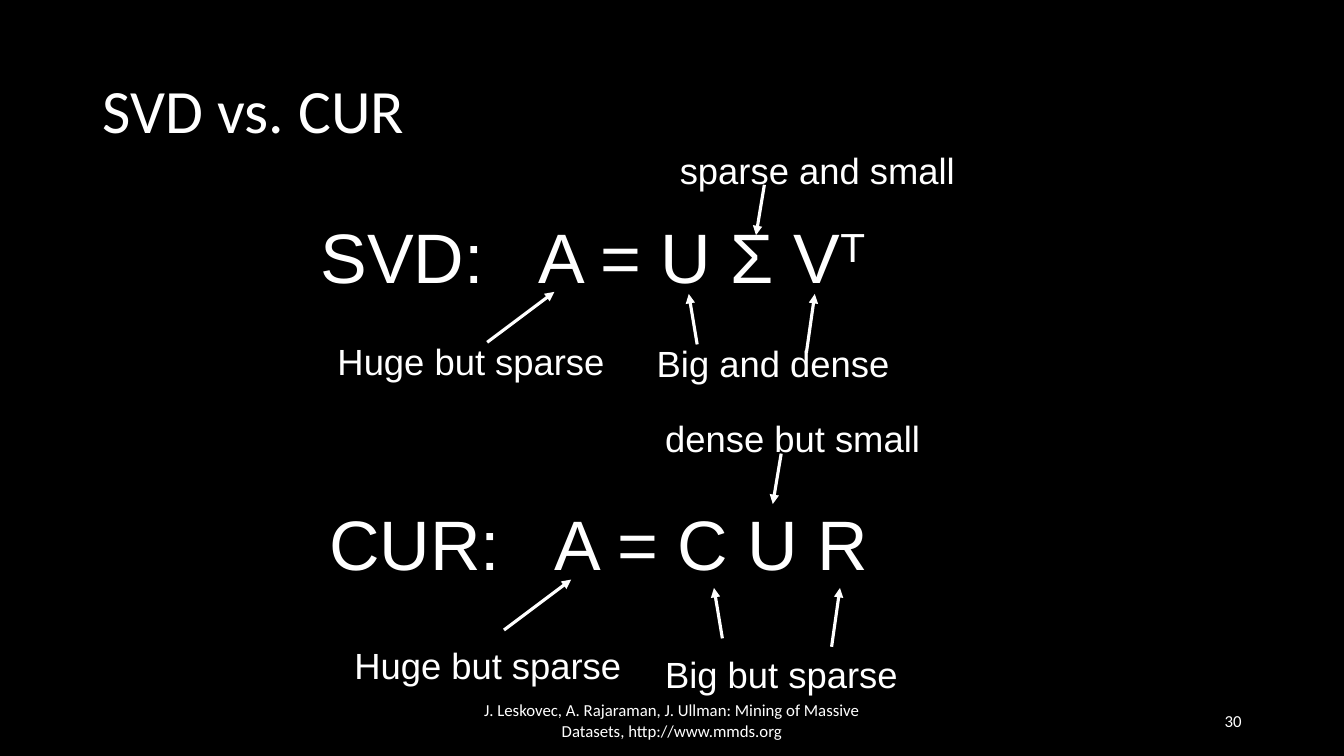
from lxml.etree import SubElement
from pptx import Presentation
from pptx.dml.color import RGBColor
from pptx.enum.shapes import MSO_CONNECTOR
from pptx.enum.text import MSO_ANCHOR, MSO_AUTO_SIZE, PP_ALIGN
from pptx.oxml.ns import qn
from pptx.util import Pt

PX = 9525  # EMU per px, 96 px to the inch
BLACK, WHITE = "000000", "FFFFFF"


def px(*lengths):
    return [length * PX for length in lengths]


def color(hex_text):
    return RGBColor.from_string(hex_text)


def add_span(para, text, size, font="Arial"):
    span = para.add_run()
    span.text = text
    span.font.size = Pt(size)
    span.font.name = font
    span.font.color.rgb = color(WHITE)
    return span


def add_title(page, text):
    title = page.shapes.title
    title.left, title.top, title.width, title.height = px(88, 39, 1104, 139)
    title.text_frame.vertical_anchor = MSO_ANCHOR.MIDDLE
    para = title.text_frame.paragraphs[0]
    para.alignment = PP_ALIGN.LEFT
    para.line_spacing = 0.9
    add_span(para, text, 44, "Calibri")


def add_box(page, left, top, width, height, wrap=True):
    box = page.shapes.add_textbox(*px(left, top, width, height))
    box.text_frame.word_wrap = wrap
    return box.text_frame


def add_footer(page, left, width, text, alignment):
    frame = add_box(page, left, 667, width, 38)
    frame.vertical_anchor = MSO_ANCHOR.MIDDLE
    frame.paragraphs[0].alignment = alignment
    add_span(frame.paragraphs[0], text, 12, "Calibri")


def add_label(page, left, top, width, text):
    frame = add_box(page, left, top, width, 51, wrap=False)
    frame.auto_size = MSO_AUTO_SIZE.SHAPE_TO_FIT_TEXT
    add_span(frame.paragraphs[0], text, 26)


def add_formula(page, left, top, name, factors, tab, power=""):
    frame = add_box(page, left, top, 632, 89)
    frame.auto_size = MSO_AUTO_SIZE.SHAPE_TO_FIT_TEXT
    para = frame.paragraphs[0]
    # A tab stop sets the gap between name and equation
    stops = SubElement(para._p.get_or_add_pPr(), qn("a:tabLst"))
    SubElement(stops, qn("a:tab"), pos=str(tab * PX), algn="l")
    add_span(para, f"{name}:\t{factors}", 50)
    if power:
        span = add_span(para, power, 50)
        span.font._element.set("baseline", "30000")


def add_arrow(page, x, y, across, down):
    arrow = page.shapes.add_connector(
        MSO_CONNECTOR.STRAIGHT, *px(x, y, x + across, y + down))
    arrow.line.color.rgb = color(WHITE)
    arrow.line.width = Pt(2.25)
    SubElement(arrow.line._get_or_add_ln(), qn("a:tailEnd"), type="triangle")
    SubElement(arrow._element.spPr, qn("a:effectLst"))


def main():
    deck = Presentation()
    deck.slide_width, deck.slide_height = px(1280, 720)
    page = deck.slides.add_slide(deck.slide_layouts[5])
    page.background.fill.solid()
    page.background.fill.fore_color.rgb = color(BLACK)

    # Title and footer
    add_title(page, "SVD vs. CUR")
    add_footer(page, 424, 432, "J. Leskovec, A. Rajaraman, J. Ullman: Mining of "
               "Massive Datasets, http://www.mmds.org", PP_ALIGN.CENTER)
    add_footer(page, 904, 288, "30", PP_ALIGN.RIGHT)

    # Formulas
    add_formula(page, 296, 199, "SVD", "A = U Σ V", 207, power="T")
    add_formula(page, 304, 472, "CUR", "A = C U R", 215)

    # Labels: left, top, width (with room to stay on one line), text
    for label in (
        (638, 136, 286, "sparse and small"),
        (312, 318, 280, "Huge but sparse"),
        (616, 320, 246, "Big and dense"),
        (624, 392, 267, "dense but small"),
        (328, 608, 280, "Huge but sparse"),
        (624, 616, 246, "Big but sparse"),
    ):
        add_label(page, *label)

    # Arrows to the input, left, right and middle matrix of each formula
    directions = ((64, -48), (-8, -48), (8, -56), (-8, 48))
    svd_starts = ((464, 326), (664, 328), (768, 336), (728, 176))
    cur_starts = ((480, 600), (688, 608), (792, 616), (744, 432))
    for starts in (svd_starts, cur_starts):
        for start, direction in zip(starts, directions):
            add_arrow(page, *start, *direction)

    deck.save("out.pptx")


if __name__ == "__main__":
    main()
